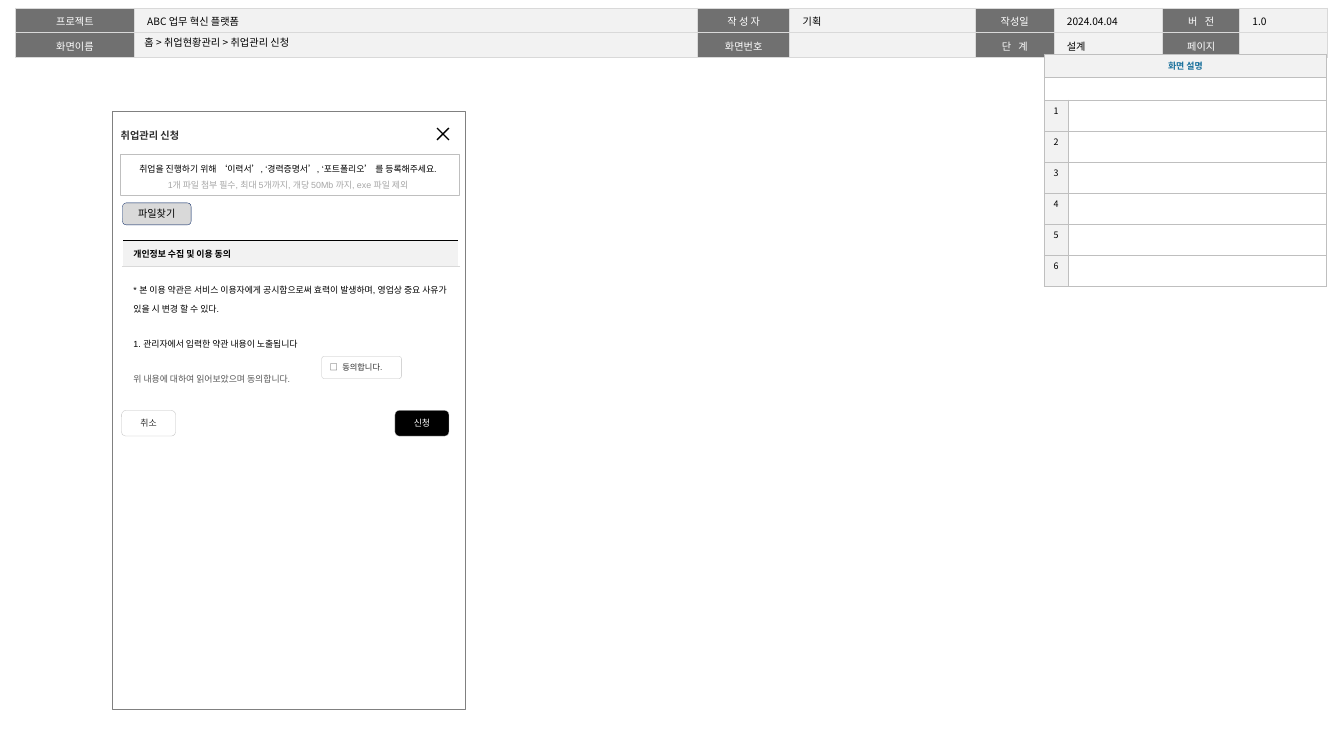
from lxml import etree
from pptx import Presentation
from pptx.dml.color import RGBColor
from pptx.enum.shapes import MSO_CONNECTOR, MSO_SHAPE
from pptx.enum.text import MSO_ANCHOR, MSO_AUTO_SIZE, PP_ALIGN
from pptx.oxml.ns import qn
from pptx.util import Inches, Pt

LEFT, CENTER = PP_ALIGN.LEFT, PP_ALIGN.CENTER
TOP, MIDDLE = MSO_ANCHOR.TOP, MSO_ANCHOR.MIDDLE
RECT, ROUND = MSO_SHAPE.RECTANGLE, MSO_SHAPE.ROUNDED_RECTANGLE
LINE = MSO_CONNECTOR.STRAIGHT
FIT = MSO_AUTO_SIZE.SHAPE_TO_FIT_TEXT
NOTO, ARIAL = "Noto Sans CJK KR", "Arial"

BLACK = RGBColor(0x00, 0x00, 0x00)
WHITE = RGBColor(0xFF, 0xFF, 0xFF)
INK = RGBColor(0x2E, 0x2E, 0x2E)
SLATE = RGBColor(0x59, 0x59, 0x59)
LABEL = RGBColor(0x70, 0x70, 0x70)
FRAME = RGBColor(0x80, 0x80, 0x80)
HINT = RGBColor(0xA6, 0xA6, 0xA6)
EDGE = RGBColor(0xBF, 0xBF, 0xBF)
SILVER = RGBColor(0xD9, 0xD9, 0xD9)
PALE = RGBColor(0xF2, 0xF2, 0xF2)
NAVY = RGBColor(0x00, 0x20, 0x60)
BLUE = RGBColor(0x17, 0x6F, 0x9B)


def write(par, text, size, color, font=ARIAL, bold=False, gap=0):
    """Add one run; gap is extra letter spacing in points."""
    run = par.add_run()
    run.text = text
    run.font.size, run.font.name, run.font.bold = Pt(size), font, bold
    run.font.color.rgb = color
    props = run.font._element
    etree.SubElement(props, qn("a:ea")).set("typeface", NOTO)
    if gap:
        props.set("spc", str(gap * 100))


def pad(frame, left, top, right, bottom):
    frame.margin_left, frame.margin_right = Inches(left), Inches(right)
    frame.margin_top, frame.margin_bottom = Inches(top), Inches(bottom)


def shape(slide, kind, x, y, w, h, fill, line, weight=0.25):
    item = slide.shapes.add_shape(kind, Inches(x), Inches(y), Inches(w), Inches(h))
    item.shadow.inherit = False
    if fill is None:
        item.fill.background()
    else:
        item.fill.solid()
        item.fill.fore_color.rgb = fill
    item.line.color.rgb, item.line.width = line, Pt(weight)
    item.text_frame.vertical_anchor = MIDDLE
    return item


def button(slide, x, y, w, h, text, fill, line, color, size=7, font=ARIAL):
    item = shape(slide, ROUND, x, y, w, h, fill, line)
    pad(item.text_frame, 0.04, 0, 0.04, 0)
    item.text_frame.word_wrap = False
    par = item.text_frame.paragraphs[0]
    par.alignment = CENTER
    write(par, text, size, color, font)


def grid(slide, x, y, cols, rows):
    item = slide.shapes.add_table(len(rows), len(cols), Inches(x), Inches(y),
                                  Inches(sum(cols)), Inches(sum(rows)))
    table = item.table
    table.first_row = table.horz_banding = False
    for col, width in zip(table.columns, cols):
        col.width = Inches(width)
    for row, height in zip(table.rows, rows):
        row.height = Inches(height)
    return table


def dress(cell, fill, edges, pads, size, anchor=TOP):
    """Style a cell; edges maps sides L, R, T, B to (colour, points)."""
    props = cell._tc.get_or_add_tcPr()
    for side in "LRTB":
        if side in edges:
            color, weight = edges[side]
            line = etree.SubElement(props, qn("a:ln" + side), w=str(Pt(weight)))
            solid = etree.SubElement(line, qn("a:solidFill"))
            etree.SubElement(solid, qn("a:srgbClr"), val=str(color))
    cell.fill.solid()
    cell.fill.fore_color.rgb = fill
    cell.vertical_anchor = anchor
    pad(cell, *pads)
    par = cell.text_frame.paragraphs[0]
    par._p.get_or_add_endParaRPr().set("sz", str(size * 100))
    return par


def header(slide, x, y):
    cols = (1.3, 6.16, 1.01, 2.03, 0.86, 1.19, 0.84, 0.96)
    texts = (("프로젝트", "ABC 업무 혁신 플랫폼", "작 성 자", "기획",
              "작성일", "2024.04.04", "버 전", "1.0"),
             ("화면이름", "", "화면번호", "", "단 계", "설계", "페이지", ""))
    table = grid(slide, x, y, cols, (0.24, 0.24))
    edges = dict.fromkeys("LRTB", (SILVER, 1))
    for r, row in enumerate(texts):
        for c, text in enumerate(row):
            label = c % 2 == 0
            par = dress(table.cell(r, c), LABEL if label else PALE, edges,
                        (0.14, 0.05, 0.14, 0.05), 8)
            par.alignment = CENTER if label else LEFT
            par.line_spacing = 1.05
            if text:
                write(par, text, 8, WHITE if label else BLACK, NOTO,
                      gap=2 if text in ("버 전", "단 계") else 0)


def crumbs(slide, x, y, w, h):
    title = slide.shapes.title
    slide.shapes._spTree.append(title._element)  # above the header table
    title.left, title.top = Inches(x), Inches(y)
    title.width, title.height = Inches(w), Inches(h)
    frame = title.text_frame
    frame.auto_size = MSO_AUTO_SIZE.NONE
    frame.word_wrap, frame.vertical_anchor = True, MIDDLE
    pad(frame, 0.11, 0.05, 0.11, 0.05)
    par = frame.paragraphs[0]
    par.alignment = LEFT
    write(par, "홈 > 취업현황관리 > 취업관리 신청", 8, BLACK, NOTO)


def guide(slide, x, y, count=6):
    """Table of numbered, still empty screen notes."""
    table = grid(slide, x, y, (0.26, 2.83), [0.25] * 2 + [0.34] * count)
    edges = dict.fromkeys("LRTB", (EDGE, 0.25))
    for r in range(count + 2):
        for c in range(2):
            head = r == 0 or (r > 1 and c == 0)
            par = dress(table.cell(r, c), PALE if head else WHITE, edges,
                        (0.04, 0.05, 0.04, 0.05), 7, TOP if r else MIDDLE)
            par.alignment = CENTER
            if c == 0 and r == 0:
                write(par, "화면 설명", 7, BLUE, NOTO, True)
            elif c == 0 and r > 1:
                write(par, str(r - 1), 7, BLACK, NOTO)
    for r in range(2):
        table.cell(r, 0).merge(table.cell(r, 1))


def cross(slide, x, y, size):
    group = slide.shapes.add_group_shape()
    for start, end in ((x, x + size), (x + size, x)):
        line = group.shapes.add_connector(LINE, Inches(start), Inches(y),
                                          Inches(end), Inches(y + size))
        line.line.color.rgb, line.line.width = BLACK, Pt(1)
        etree.SubElement(line._element.spPr, qn("a:effectLst"))


def notice(slide, x, y, w, h):
    frame = shape(slide, RECT, x, y, w, h, None, EDGE).text_frame
    pad(frame, 0.12, 0, 0.16, 0)
    frame.word_wrap = False
    par = frame.paragraphs[0]
    par.alignment, par.line_spacing = CENTER, 1.5
    write(par, "취업을 진행하기 위해 ‘이력서’, ‘경력증명서’, ‘포트폴리오’ 를 등록해주세요.",
          7, BLACK)
    par.add_line_break()
    write(par, "1개 파일 첨부 필수, 최대 5개까지, 개당 50Mb 까지, exe 파일 제외", 7, HINT)


def policy(slide, x, y, w):
    table = grid(slide, x, y, (w,), (0.28, 1.02, 0.39))
    side, rule = (WHITE, 1), (SILVER, 0.25)
    thin = (0.12, 0.05, 0.08, 0.05)
    par = dress(table.cell(0, 0), PALE, {"L": side, "T": (BLACK, 1), "B": rule},
                thin, 7, MIDDLE)
    write(par, "개인정보 수집 및 이용 동의", 7, BLACK, bold=True)
    body = table.cell(1, 0)
    par = dress(body, WHITE, {"L": side, "T": rule}, (0.12, 0.12, 0.08, 0.12), 7)
    par.line_spacing = 1.5
    write(par, "* 본 이용 약관은 서비스 이용자에게 공시함으로써 효력이 발생하며, "
          "영업상 중요 사유가 있을 시 변경 할 수 있다.", 7, BLACK)
    par = body.text_frame.add_paragraph()
    par.line_spacing, par.space_before = 1.2, Pt(15)
    write(par, "1. 관리자에서 입력한 약관 내용이 노출됩니다", 7, BLACK)
    par = dress(table.cell(2, 0), WHITE, {"L": side}, thin, 7, MIDDLE)
    write(par, "위 내용에 대하여 읽어보았으며 동의합니다.", 7, SLATE)


def consent(slide, x, y, w, h):
    item = shape(slide, ROUND, x, y, w, h, WHITE, EDGE)
    item.adjustments[0] = 0.1
    pad(item.text_frame, 0.08, 0, 0.08, 0)
    par = item.text_frame.paragraphs[0]
    par.alignment = LEFT
    write(par, "□ ", 6.5, INK, gap=1)
    write(par, "동의합니다.", 6.5, INK)


def heading(slide, x, y, w, h):
    box = slide.shapes.add_textbox(Inches(x), Inches(y), Inches(w), Inches(h))
    frame = box.text_frame
    frame.word_wrap, frame.auto_size = True, FIT
    pad(frame, 0, 0.05, 0, 0.05)
    par = frame.paragraphs[0]
    par.line_spacing = 1.5
    write(par, "취업관리 신청", 8, INK, bold=True)


def dialog(slide, x, y, w, h):
    shape(slide, RECT, x, y, w, h, None, FRAME, 0.5)
    cross(slide, x + w - 0.31, y + 0.18, 0.13)
    notice(slide, x + 0.09, y + 0.47, w - 0.16, 0.44)
    button(slide, x + w - 0.77, y + 3.27, 0.59, 0.28, "신청", BLACK, EDGE, WHITE)
    button(slide, x + 0.1, y + 3.27, 0.59, 0.28, "취소", WHITE, EDGE, INK)
    button(slide, x + 0.11, y + 1, 0.75, 0.24, "파일찾기", SILVER, NAVY, BLACK, 8, NOTO)
    policy(slide, x + 0.11, y + 1.41, w - 0.18)
    consent(slide, x + 2.29, y + 2.68, 0.87, 0.24)
    heading(slide, x + 0.09, y + 0.08, 1.98, 0.28)


def main():
    deck = Presentation()
    deck.slide_width, deck.slide_height = Inches(14.7), Inches(8.27)
    slide = deck.slides.add_slide(deck.slide_layouts[5])
    header(slide, 0.17, 0.09)
    crumbs(slide, 1.47, 0.38, 3.85, 0.16)
    guide(slide, 11.42, 0.59)
    dialog(slide, 1.23, 1.22, 3.86, 6.54)
    deck.save("out.pptx")


if __name__ == "__main__":
    main()
